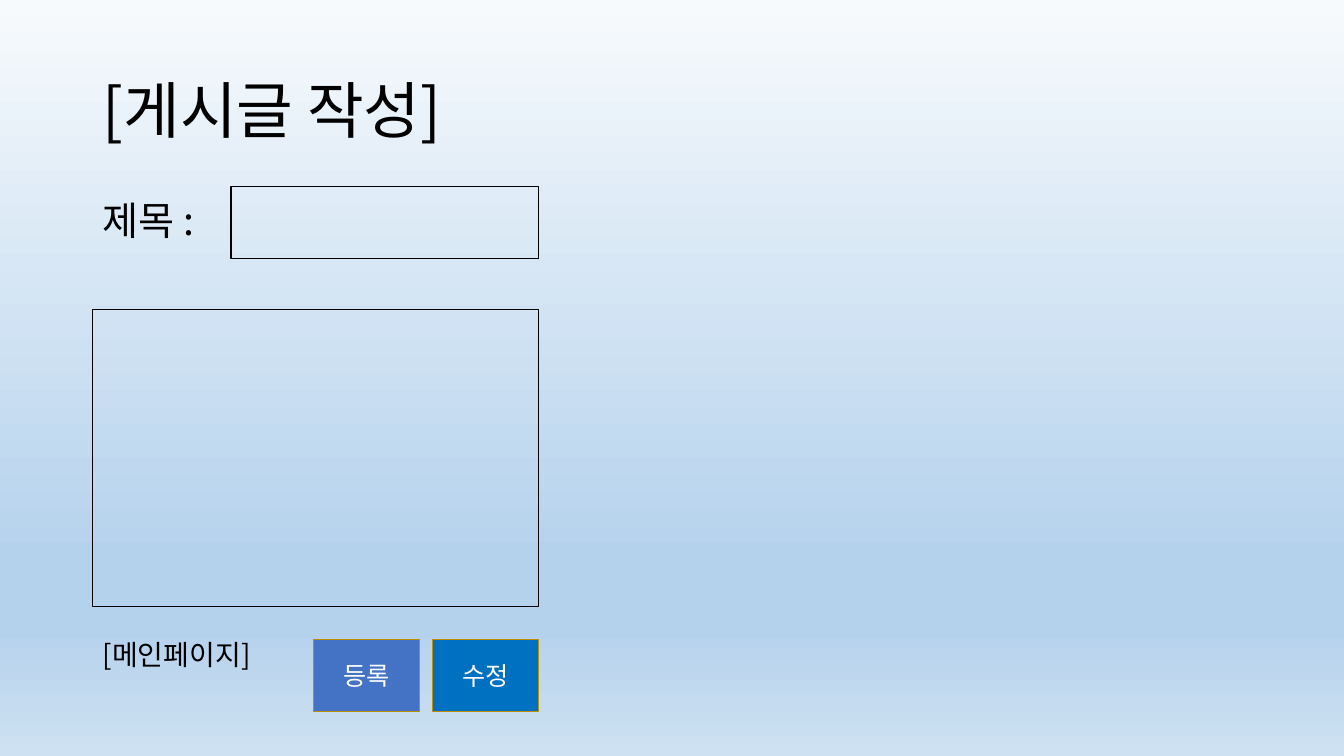
from copy import deepcopy

from lxml import etree
from pptx import Presentation
from pptx import util as u
from pptx.dml.color import RGBColor
from pptx.enum import shapes, text
from pptx.oxml.ns import qn

FONT = "Noto Sans CJK KR"
BLACK = RGBColor(0x00, 0x00, 0x00)
WHITE = RGBColor(0xFF, 0xFF, 0xFF)
GOLD = RGBColor(0xBD, 0x8E, 0x00)
REGISTER_BLUE = RGBColor(0x44, 0x72, 0xC4)
EDIT_BLUE = RGBColor(0x00, 0x70, 0xC0)
SKY = [
    (0, RGBColor(0xF7, 0xFA, 0xFD)),
    (0.74, RGBColor(0xB5, 0xD2, 0xEC)),
    (0.83, RGBColor(0xB5, 0xD2, 0xEC)),
    (1, RGBColor(0xCE, 0xE1, 0xF2)),
]

LEFT, RIGHT = 2.33, 13.57
TEXT_WIDTH = 29.21
ROW_HEIGHT = 1.81
BUTTON_WIDTH, BUTTON_GAP, BUTTON_TOP = 2.67, 0.33, 16.12


class FormSlide:
    """Holds the style and the current slide."""

    def __init__(self, slide):
        """Keep the slide to draw on."""
        self.slide = slide

    def background(self, stops):
        """Fill the background with a gradient running downwards."""
        fill = self.slide.background.fill
        fill.gradient()
        fill.gradient_angle = 270
        stop_list = self.slide.element.find(".//" + qn("a:gsLst"))
        while len(stop_list) < len(stops):
            stop_list.append(deepcopy(stop_list[0]))
        for stop, (position, color) in zip(fill.gradient_stops, stops):
            stop.position = position
            stop.color.rgb = color

    def style(self, paragraph, size, color):
        """Set font, size and colour of a paragraph's runs."""
        for run in paragraph.runs:
            run.font.name = FONT
            run.font.size = u.Pt(size)
            run.font.color.rgb = color
            east_asian = etree.SubElement(run.font._element, qn("a:ea"))
            east_asian.set("typeface", FONT)

    def place(self, holder, top, height, anchor):
        """Move a placeholder into the text column and return its frame."""
        holder.left, holder.top = u.Cm(LEFT), u.Cm(top)
        holder.width, holder.height = u.Cm(TEXT_WIDTH), u.Cm(height)
        frame = holder.text_frame
        frame.auto_size = text.MSO_AUTO_SIZE.NONE
        frame.vertical_anchor = anchor
        return frame

    def title(self, wording, top, height):
        """Write the slide title."""
        frame = self.place(self.slide.shapes.title, top, height, text.MSO_ANCHOR.MIDDLE)
        frame.text = wording
        heading = frame.paragraphs[0]
        heading.alignment = text.PP_ALIGN.LEFT
        heading.line_spacing = 0.9
        self.style(heading, 44, BLACK)

    def body(self, lines, top, height):
        """Write unbulleted lines given as (wording, size, space before)."""
        frame = self.place(self.slide.placeholders[1], top, height, text.MSO_ANCHOR.TOP)
        frame.text = "\n".join(wording for wording, _, _ in lines)
        for paragraph, (_, size, space) in zip(frame.paragraphs, lines):
            paragraph.line_spacing = 0.9
            paragraph.space_before = u.Pt(space)
            properties = paragraph._p.get_or_add_pPr()
            properties.set("marL", "0")
            properties.set("indent", "0")
            etree.SubElement(properties, qn("a:buNone"))
            self.style(paragraph, size, BLACK)

    def box(self, left, top, width, height, line):
        """Draw an unfilled rectangle with a thin outline."""
        rectangle = self.slide.shapes.add_shape(
            shapes.MSO_SHAPE.RECTANGLE, u.Cm(left), u.Cm(top), u.Cm(width), u.Cm(height))
        rectangle.shadow.inherit = False
        rectangle.fill.background()
        rectangle.line.color.rgb = line
        rectangle.line.width = u.Pt(1)
        return rectangle

    def button(self, wording, left, color):
        """Draw a filled button with a centred label."""
        button = self.box(left, BUTTON_TOP, BUTTON_WIDTH, ROW_HEIGHT, GOLD)
        button.fill.solid()
        button.fill.fore_color.rgb = color
        frame = button.text_frame
        frame.text = wording
        frame.vertical_anchor = text.MSO_ANCHOR.MIDDLE
        frame.paragraphs[0].alignment = text.PP_ALIGN.CENTER
        self.style(frame.paragraphs[0], 18, WHITE)


deck = Presentation()
deck.slide_width, deck.slide_height = u.Cm(33.87), u.Cm(19.05)
form = FormSlide(deck.slides.add_slide(deck.slide_layouts[1]))

form.background(SKY)
form.title("[게시글 작성]", 1.01, 3.68)
form.body([("제목 :", 28, 10), ("[메인페이지]", 20, 284)], 4.95, 14.1)

subject_left = 5.82
form.box(subject_left, 4.7, RIGHT - subject_left, ROW_HEIGHT, BLACK)
form.box(LEFT, 7.8, RIGHT - LEFT, 7.48, BLACK)

edit_left = RIGHT - BUTTON_WIDTH
form.button("등록", edit_left - BUTTON_GAP - BUTTON_WIDTH, REGISTER_BLUE)
form.button("수정", edit_left, EDIT_BLUE)

deck.save("out.pptx")
